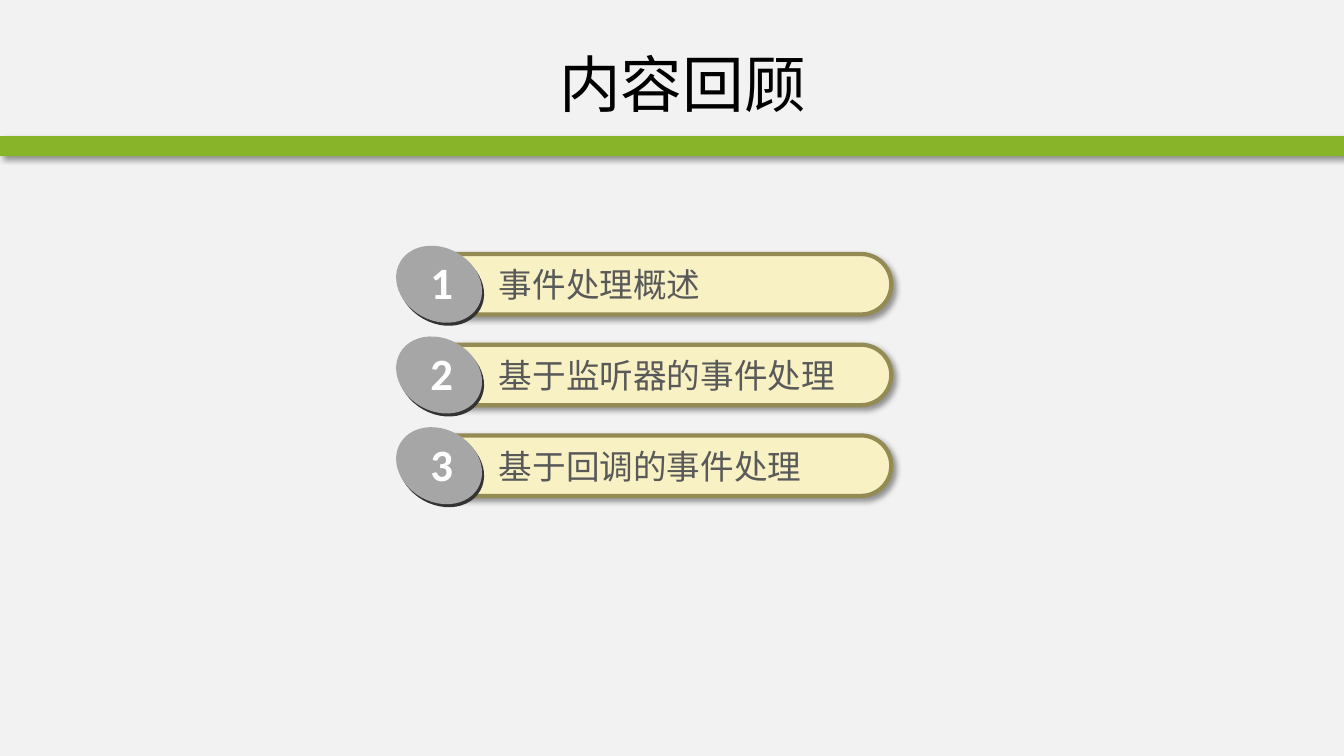
from lxml import etree
from pptx import Presentation, util as u
from pptx.dml.color import RGBColor
from pptx.enum import shapes, text
from pptx.oxml import parse_xml
from pptx.oxml.ns import qn

A = "http://schemas.openxmlformats.org/drawingml/2006/main"
CJK = "Noto Sans CJK SC"
SHADOW = (f'<a:outerShdw xmlns:a="{A}" blurRad="50800" dist="38100" dir="2700000" algn="tl" '
          'rotWithShape="0"><a:srgbClr val="000000"><a:alpha val="40000"/></a:srgbClr></a:outerShdw>')


def add_block(parent, kind, box, fill, border=None, shadow=False):
    block = parent.add_shape(kind, *map(u.Inches, box))
    block.fill.solid()
    block.fill.fore_color.rgb = RGBColor.from_string(fill)
    if border:
        block.line.color.rgb = RGBColor.from_string(border)
        block.line.width = u.Pt(3)
    else:
        block.line.fill.background()
    block.shadow.inherit = False
    if shadow:
        block._element.spPr.find(qn("a:effectLst")).append(parse_xml(SHADOW))
    return block


def add_label(parent, box, words, size, font, color, wrap=True, bold=False):
    label = parent.add_textbox(*map(u.Inches, box))
    frame = label.text_frame
    frame.word_wrap = wrap
    paragraph = frame.paragraphs[0]
    paragraph.text = words
    paragraph.font.size = u.Pt(size)
    paragraph.font.name = font
    paragraph.font.bold = bold
    paragraph.font.color.rgb = RGBColor.from_string(color)
    defaults = paragraph._p.pPr.find(qn("a:defRPr"))
    etree.SubElement(defaults, qn("a:ea"), typeface=font)
    return frame


WIDTH, HEIGHT = 13.33, 7.5
deck = Presentation()
deck.slide_width, deck.slide_height = u.Inches(WIDTH), u.Inches(HEIGHT)
slide = deck.slides.add_slide(deck.slide_layouts[6])
slide.background.fill.solid()
slide.background.fill.fore_color.rgb = RGBColor.from_string("F2F2F2")

add_block(slide.shapes, shapes.MSO_SHAPE.RECTANGLE, (0, 1.35, WIDTH, 0.2), "88B429", shadow=True)

topics = ["事件处理概述", "基于监听器的事件处理", "基于回调的事件处理"]
FIRST_TOP, ROW_STEP = 2.52, 0.9
for number, topic in reversed(list(enumerate(topics, 1))):
    top = FIRST_TOP + (number - 1) * ROW_STEP
    row = slide.shapes.add_group_shape().shapes
    bar = add_block(row, shapes.MSO_SHAPE.ROUNDED_RECTANGLE, (4.13, top, 4.71, 0.6),
                    "F7F1C4", border="948A54", shadow=True)
    bar.adjustments[0] = 0.5
    add_label(row, (4.85, top + 0.05, 3.75, 0.5), topic, 24, CJK, "595959")
    for left, lift, color in ((3.93, 0.03, "333333"), (3.91, 0.06, "A6A6A6")):
        badge = add_block(row, shapes.MSO_SHAPE.OVAL, (left, top - lift, 0.89, 0.72), color)
        badge.rotation = 29.3
    add_label(row, (4.17, top - 0.04, 0.43, 0.64), str(number), 32, "Calibri", "FFFFFF",
              wrap=False, bold=True)

title = add_label(slide.shapes, (1.39, 0.3, 10.76, 1.05), "内容回顾", 44, CJK, "000000")
title.vertical_anchor = text.MSO_ANCHOR.MIDDLE
title.paragraphs[0].alignment = text.PP_ALIGN.CENTER

deck.save("out.pptx")
